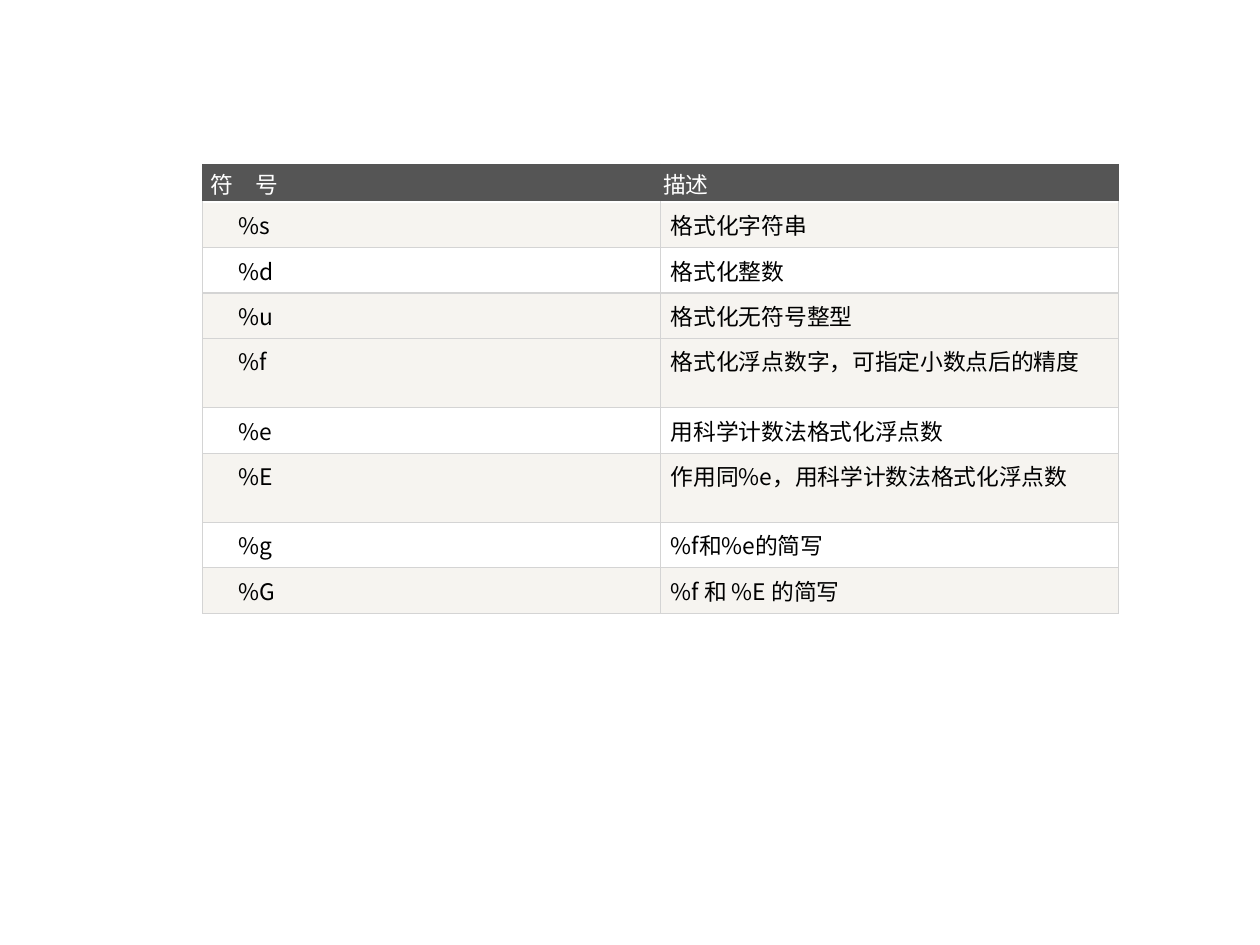
from pptx import Presentation
from pptx import util as u
from pptx.dml.color import RGBColor
from pptx.oxml import ns
from lxml import etree

DARK = RGBColor(0x55, 0x55, 0x55)
CREAM = RGBColor(0xF6, 0xF4, 0xF0)
WHITE = RGBColor(0xFF, 0xFF, 0xFF)
BLACK = RGBColor(0, 0, 0)
RULE = RGBColor(0xD4, 0xD4, 0xD4)
LATIN, HAN = "Calibri", "Noto Sans CJK SC"
HEAD, ROW, TALL = 0.27, 0.33, 0.55

CODES = [
    ("%s", "格式化字符串", CREAM, ROW),
    ("%d", "格式化整数", WHITE, ROW),
    ("%u", "格式化无符号整型", CREAM, ROW),
    ("%f", "格式化浮点数字，可指定小数点后的精度", CREAM, TALL),
    ("%e", "用科学计数法格式化浮点数", WHITE, ROW),
    ("%E", "作用同%e，用科学计数法格式化浮点数", CREAM, TALL),
    ("%g", "%f和%e的简写", WHITE, ROW),
    ("%G", "%f 和 %E 的简写", CREAM, ROW),
]


def add_rules(cell, sides, color):
    props = cell._tc.get_or_add_tcPr()
    for spot, side in enumerate(sides):
        line = etree.Element(ns.qn(f"a:ln{side}"), w=str(u.Pt(0.75)))
        fill = etree.SubElement(line, ns.qn("a:solidFill"))
        etree.SubElement(fill, ns.qn("a:srgbClr"), val=str(color))
        props.insert(spot, line)


def fill_cell(cell, words, back, ink, face, inset, pad):
    cell.fill.solid()
    cell.fill.fore_color.rgb = back
    cell.margin_left = u.Inches(inset)
    cell.margin_right = u.Inches(0.02)
    cell.margin_top = cell.margin_bottom = u.Inches(pad)
    cell.text = words
    para = cell.text_frame.paragraphs[0]
    font = para.font
    font.size, font.name = u.Pt(13), face
    font.color.rgb = ink
    base = para._p.pPr.find(ns.qn("a:defRPr"))
    etree.SubElement(base, ns.qn("a:ea"), typeface=HAN)


def add_codes(slide, left, top, width, height):
    grid = slide.shapes.add_table(
        len(CODES) + 1, 2, left, top, width, height).table
    units = [HEAD] + [code[3] for code in CODES]
    for row, unit in zip(grid.rows, units):
        row.height = int(height * unit / sum(units))
    for col, (words, inset) in enumerate([("符　号", 0.06), ("描述", 0.02)]):
        cell = grid.cell(0, col)
        fill_cell(cell, words, DARK, WHITE, LATIN, inset, 0.02)
        add_rules(cell, "LRT", DARK)
    for row, (code, note, back, _) in enumerate(CODES, 1):
        for col, (words, inset) in enumerate([(code, 0.28), (note, 0.08)]):
            cell = grid.cell(row, col)
            fill_cell(cell, words, back, BLACK, HAN, inset, 0.05)
            add_rules(cell, "LRTB", RULE)


def main():
    deck = Presentation()
    wide, high = u.Inches(10), u.Inches(7.5)
    deck.slide_width, deck.slide_height = wide, high
    slide = deck.slides.add_slide(deck.slide_layouts[6])
    add_codes(slide, int(wide * 0.161), int(high * 0.174),
              int(wide * 0.727), int(high * 0.447))
    deck.save("out.pptx")


if __name__ == "__main__":
    main()
